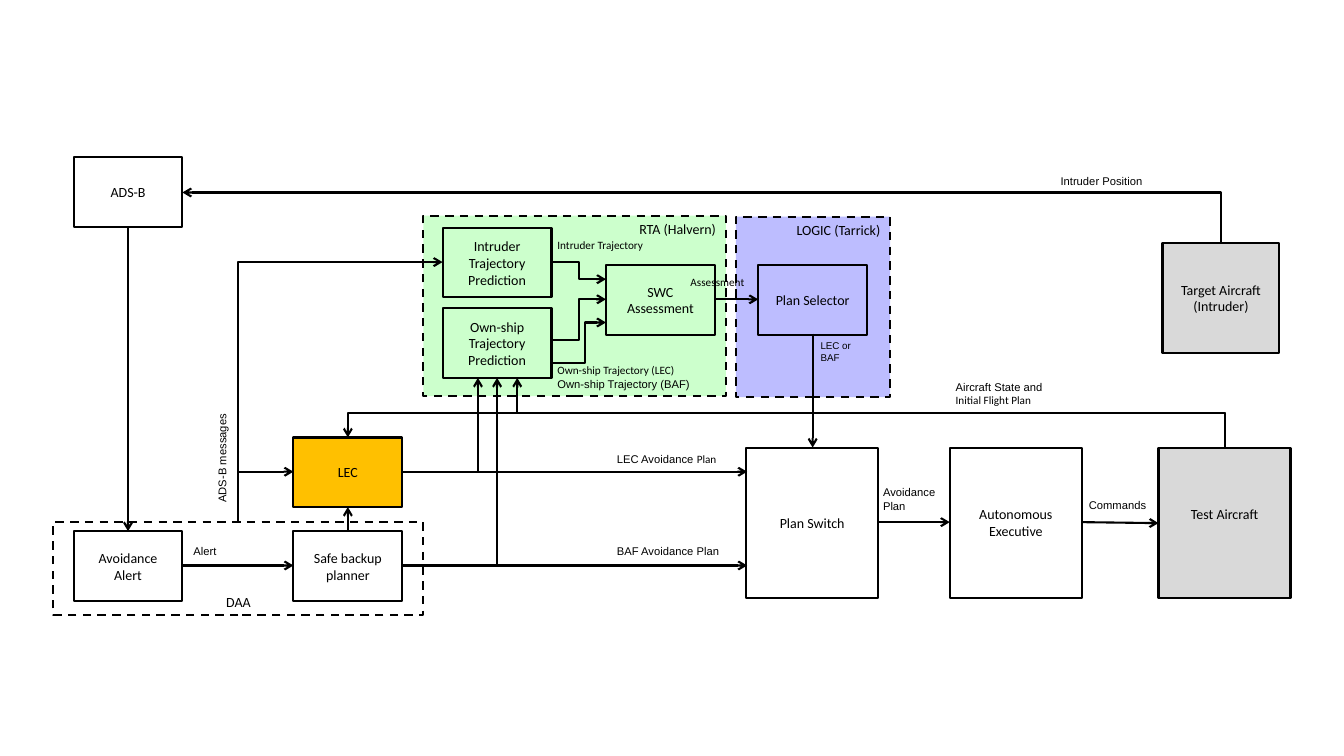
"""Draws the block diagram of an aircraft avoidance system."""
import pptx
import pptx.util
import pptx.dml.color
import pptx.enum.dml
import pptx.enum.shapes
import pptx.enum.text
import pptx.oxml
import pptx.oxml.ns

Inches = pptx.util.Inches
Pt = pptx.util.Pt
RGBColor = pptx.dml.color.RGBColor
Align = pptx.enum.text.PP_ALIGN
Anchor = pptx.enum.text.MSO_ANCHOR
Kind = pptx.enum.shapes.MSO_CONNECTOR
qn = pptx.oxml.ns.qn

BLACK = RGBColor(0x00, 0x00, 0x00)
AMBER = RGBColor(0xFF, 0xC0, 0x00)
GREY = RGBColor(0xD9, 0xD9, 0xD9)
GREEN = RGBColor(0xCC, 0xFF, 0xCC)
LILAC = RGBColor(0xBD, 0xBD, 0xFF)
SANS = "Arial"
BODY = "Calibri"
UNIT = (1.08, 0.69)
TALL = (1.31, 1.49)


class Diagram:
    """Holds the slide and the style of its boxes, labels and arrows."""

    def __init__(self, slide):
        self.shapes = slide.shapes

    def set_text(self, frame, lines, size, align):
        """Fill a frame with lines, each a list of (text, font) runs."""
        for number, runs in enumerate(lines):
            paragraph = frame.add_paragraph() if number else frame.paragraphs[0]
            paragraph.alignment = align
            paragraph.font.size = Pt(size)
            paragraph.font.color.rgb = BLACK
            for text, font in runs:
                run = paragraph.add_run()
                run.text = text
                if len(runs) > 1:
                    run.font.name = font
                else:
                    paragraph.font.name = font

    def box(self, at, size, *lines, fill=None, dash=False,
            anchor=Anchor.MIDDLE, align=Align.CENTER, lift=0):
        """Draw an outlined block with its name."""
        block = self.shapes.add_shape(
            pptx.enum.shapes.MSO_SHAPE.RECTANGLE, *map(Inches, at + size))
        block.shadow.inherit = False
        if fill is None:
            block.fill.background()
        else:
            block.fill.solid()
            block.fill.fore_color.rgb = fill
        block.line.color.rgb = BLACK
        block.line.width = Pt(1.5)
        if dash:
            block.line.dash_style = pptx.enum.dml.MSO_LINE.DASH
        frame = block.text_frame
        frame.word_wrap = True
        frame.vertical_anchor = anchor
        frame.margin_bottom = Inches(0.05 + lift)
        self.set_text(frame, [[(line, BODY)] for line in lines], 10, align)

    def label(self, at, size, *lines, points=8, turn=0):
        """Place an unwrapped caption."""
        caption = self.shapes.add_textbox(*map(Inches, at + size))
        caption.rotation = turn
        frame = caption.text_frame
        frame.word_wrap = False
        frame.auto_size = pptx.enum.text.MSO_AUTO_SIZE.SHAPE_TO_FIT_TEXT
        self.set_text(frame, lines, points, Align.LEFT)

    def arrow(self, start, end, kind=Kind.STRAIGHT, tip="tailEnd"):
        """Draw a line with an arrowhead at its tip."""
        link = self.shapes.add_connector(kind, *map(Inches, start + end))
        link.line.color.rgb = BLACK
        link.line.width = Pt(1.5)
        properties = link._element.spPr
        properties.find(qn("a:ln")).append(pptx.oxml.parse_xml(
            f'<a:{tip} {pptx.oxml.ns.nsdecls("a")} type="arrow"/>'))
        properties.append(pptx.oxml.parse_xml(
            f'<a:effectLst {pptx.oxml.ns.nsdecls("a")}/>'))
        return properties

    def step(self, start, end, bend=0.5):
        """Draw an arrow that runs across, up or down, and across."""
        properties = self.arrow(start, end, Kind.ELBOW)
        guides = properties.find(qn("a:prstGeom")).find(qn("a:avLst"))
        guides.append(pptx.oxml.parse_xml(
            f'<a:gd {pptx.oxml.ns.nsdecls("a")} name="adj1" '
            f'fmla="val {round(bend * 100000)}"/>'))
        return properties

    def corner(self, start, end, upright=False):
        """Draw an arrow with one corner; upright ones leave vertically."""
        if upright:
            properties = self.arrow(end, start, Kind.ELBOW, "headEnd")
        else:
            properties = self.arrow(start, end, Kind.ELBOW)
        properties.find(qn("a:prstGeom")).set("prst", "bentConnector2")

    def bridge(self, start, end, level):
        """Draw an arrow up to a level, leftwards, and on to its end."""
        rise, reach = start[1] - end[1], start[0] - end[0]
        x, y = (start[0] + end[0]) / 2, (start[1] + end[1]) / 2
        properties = self.step((x - rise / 2, y + reach / 2),
                               (x + rise / 2, y - reach / 2),
                               (start[1] - level) / rise)
        properties.find(qn("a:xfrm")).set("rot", str(270 * 60000))


deck = pptx.Presentation()
deck.slide_width, deck.slide_height = Inches(13.33), Inches(7.5)
diagram = Diagram(deck.slides.add_slide(deck.slide_layouts[6]))

diagram.box((0.73, 1.56), UNIT, "ADS-B")
diagram.box((0.73, 5.27), UNIT, "Avoidance Alert")
diagram.box((2.91, 4.34), UNIT, "LEC", fill=AMBER)
diagram.box((2.91, 5.27), UNIT, "Safe backup planner")
diagram.box((11.49, 4.44), TALL, "Test Aircraft", fill=GREY, lift=0.17)
diagram.box((11.53, 2.41), (1.16, 1.09), "Target Aircraft (Intruder)", fill=GREY)
diagram.box((9.42, 4.44), TALL, "Autonomous Executive")
diagram.box((7.4, 4.44), TALL, "Plan Switch")
diagram.box((0.53, 5.18), (3.67, 0.92), "DAA", dash=True, anchor=Anchor.BOTTOM)

for start, end in (
        ((3.99, 4.68), (7.41, 4.68)), ((3.99, 5.61), (7.41, 5.61)),
        ((1.27, 2.25), (1.27, 5.27)), ((1.81, 5.61), (2.91, 5.61)),
        ((10.73, 5.18), (11.49, 5.19)), ((8.71, 5.18), (9.42, 5.18)),
        ((3.45, 5.27), (3.45, 5.03))):
    diagram.arrow(start, end)
diagram.bridge((12.15, 4.44), (3.45, 4.34), 4.1)
diagram.corner((12.11, 2.41), (1.81, 1.91), upright=True)
diagram.corner((2.36, 5.18), (2.91, 4.68), upright=True)

diagram.label((1.82, 5.35), (0.43, 0.24), [("Alert", SANS)])
diagram.label((6.02, 4.44), (1.24, 0.24),
              [("LEC Avoidance ", SANS), ("Plan", BODY)])
diagram.label((6.02, 5.35), (1.24, 0.24), [("BAF Avoidance Plan", SANS)])
diagram.label((9.38, 3.72), (1.07, 0.37),
              [("Aircraft State and", SANS)], [("Initial Flight Plan", BODY)])
diagram.label((10.42, 1.68), (1.02, 0.24), [("Intruder Position", SANS)])
diagram.label((1.66, 4.42), (1.09, 0.24), [("ADS-B messages", SANS)], turn=270)
diagram.label((8.66, 4.77), (0.76, 0.37), [("Avoidance", SANS)], [("Plan", SANS)])
diagram.label((10.7, 4.89), (0.78, 0.24), [("Commands", SANS)])

for at, size, name, fill in (
        ((7.3, 2.15), (1.53, 1.79), "LOGIC (Tarrick)", LILAC),
        ((4.2, 2.14), (3, 1.79), "RTA (Halvern)", GREEN)):
    diagram.box(at, size, name, fill=fill, dash=True,
                anchor=Anchor.TOP, align=Align.RIGHT)
diagram.box((4.39, 2.26), UNIT, "Intruder Trajectory", "Prediction")
diagram.box((4.39, 3.06), UNIT, "Own-ship", "Trajectory Prediction")
diagram.box((6.01, 2.63), UNIT, "SWC Assessment")
diagram.box((7.52, 2.63), UNIT, "Plan Selector")

diagram.step((5.48, 2.6), (6.01, 2.77))
diagram.step((5.48, 3.37), (6.01, 2.97))
diagram.step((5.48, 3.6), (6.01, 3.2), 0.61)
diagram.corner((3.99, 4.68), (4.74, 3.75))
diagram.corner((3.99, 5.61), (4.93, 3.75))
diagram.bridge((12.15, 4.44), (5.13, 3.75), 4.1)
diagram.corner((2.36, 5.18), (4.39, 2.6), upright=True)
diagram.arrow((7.09, 2.97), (7.52, 2.97))
diagram.arrow((8.06, 3.31), (8.06, 4.44))

diagram.label((8.04, 3.32), (0.51, 0.34),
              [("LEC or", SANS)], [("BAF", SANS)], points=7)
diagram.label((5.43, 2.32), (1.12, 0.24), [("Intruder Trajectory", BODY)])
diagram.label((5.43, 3.56), (1.53, 0.37), [("Own-ship Trajectory (LEC)", BODY)],
              [("Own-ship Trajectory (BAF)", SANS)])
diagram.label((6.75, 2.68), (0.82, 0.24), [("Assessment", BODY)])

deck.save("out.pptx")
